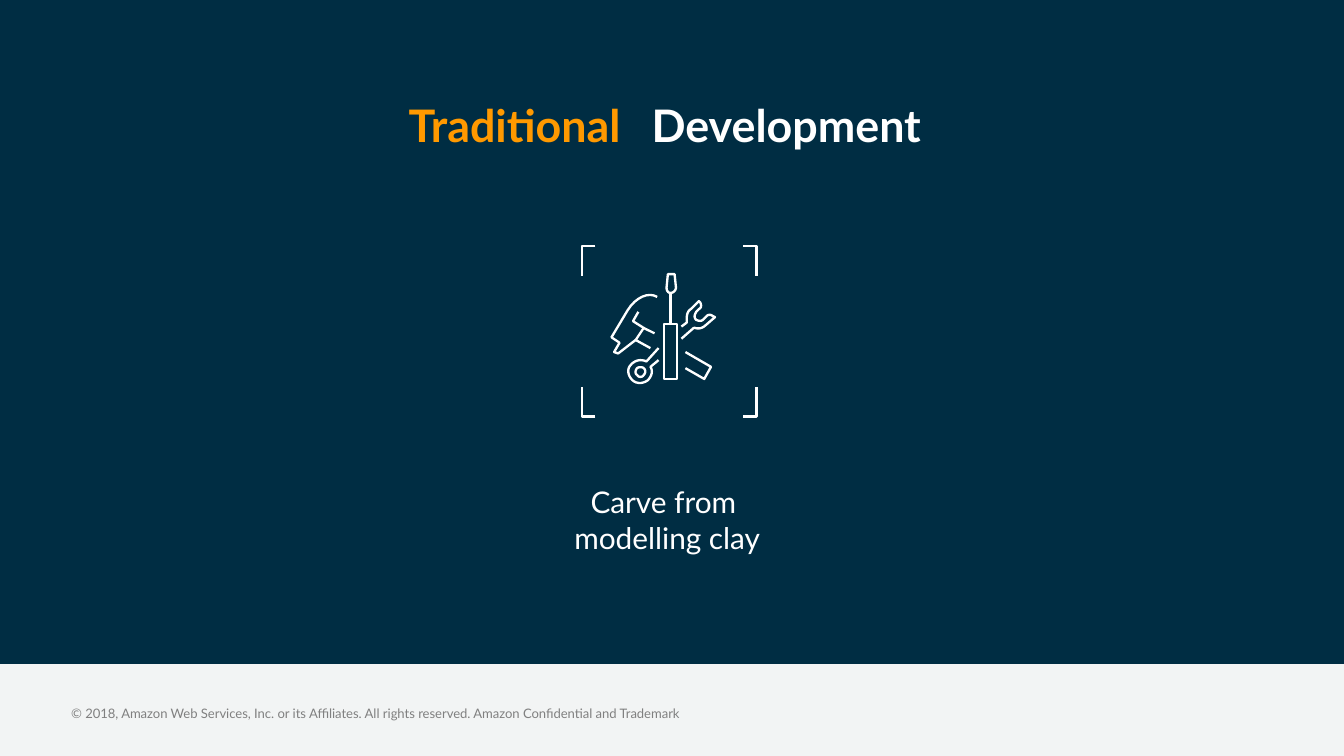
import copy

import pptx
import pptx.dml.color
import pptx.enum.shapes
import pptx.enum.text
import pptx.oxml.ns
import pptx.oxml.xmlchemy
import pptx.util

Pt = pptx.util.Pt
ALIGN = pptx.enum.text.PP_ALIGN
COLORS = {
    "background": "F2F4F4",
    "panel": "002D43",
    "accent": "FF9900",
    "light": "FFFFFF",
    "footer": "808080",
}
GRID = 0.72
ICON_LEFT, ICON_TOP = 311.76, 131.76
FRAME_WIDTH, FRAME_HEIGHT = 130, 127
ARM_WIDTH, ARM_HEIGHT = 10, 22
CURVE_STEPS = 8

TOOL_OUTLINES = {
    "screwdriver handle": [(69, 21), (64, 21), (63, 31), (63, 33, 64, 35, 66, 35),
                           (68, 35, 70, 33, 70, 31), (69, 21)],
    "wrench shaft": [(77, 79), (96, 90), (91, 99), (77, 91)],
    "hammer shaft": [(51, 76), (40, 70), (46, 61), (54, 65)],
    "hammer head": [(56, 38), (50, 34, 40, 38, 34, 48), (22, 68), (28, 72),
                    (24, 79), (27, 80), (40, 70)],
    "hammer neck": [(46, 61), (38, 56), (42, 49)],
    "wrench jaw": [(74, 69), (82, 62), (83, 61, 83, 61, 84, 61),
                   (87, 62, 90, 61, 92, 59), (99, 53), (97, 52),
                   (96, 51, 94, 51, 93, 52), (90, 55), (89, 56, 87, 56, 85, 55),
                   (83, 53, 84, 51, 85, 49), (87, 47), (89, 46, 89, 44, 88, 42),
                   (87, 41), (81, 47), (78, 49, 78, 52, 78, 55), (78, 57), (74, 60)],
    "ring hole": [(46, 91), (45, 90, 42, 90, 41, 91), (40, 92, 39, 95, 41, 96),
                  (42, 98, 45, 98, 46, 96), (47, 95, 48, 93, 46, 91)],
    "ring": [(57, 76), (48, 86), (44, 84, 39, 85, 36, 89), (34, 91, 34, 95, 36, 98),
             (39, 103, 45, 103, 49, 100), (52, 97, 53, 93, 51, 90), (57, 85)],
}


def rgb(name):
    return pptx.dml.color.RGBColor.from_string(COLORS[name])


def place(shape, left, top, width, height):
    shape.left, shape.top = Pt(left), Pt(top)
    shape.width, shape.height = Pt(width), Pt(height)


def write_text(shape, text, *, size, color, bold=False, align=ALIGN.LEFT, margins=(7.2, 3.6)):
    frame = shape.text_frame
    frame.word_wrap = True
    frame.auto_size = pptx.enum.text.MSO_AUTO_SIZE.NONE
    frame.vertical_anchor = pptx.enum.text.MSO_ANCHOR.TOP
    frame.margin_left = frame.margin_right = Pt(margins[0])
    frame.margin_top = frame.margin_bottom = Pt(margins[1])
    paragraph = frame.paragraphs[0]
    paragraph.text = text
    paragraph.alignment = align
    paragraph.space_before = Pt(0)
    for run in paragraph.runs:
        run.font.name = "Lato"
        run.font.size = Pt(size)
        run.font.bold = bold
        run.font.color.rgb = rgb(color)
    for line_break in paragraph._p.findall(pptx.oxml.ns.qn("a:br")):
        line_break.append(copy.deepcopy(paragraph.runs[0].font._element))
    return paragraph


def remove_bullet(paragraph):
    properties = paragraph._p.get_or_add_pPr()
    properties.set("marL", "0")
    properties.set("indent", "0")
    properties.append(pptx.oxml.xmlchemy.OxmlElement("a:buNone"))


def add_text_box(slide, box, text, **text_format):
    shape = slide.shapes.add_textbox(*(Pt(length) for length in box))
    write_text(shape, text, **text_format)


def add_panel(slide):
    panel = slide.shapes.add_shape(
        pptx.enum.shapes.MSO_SHAPE.RECTANGLE, 0, 0, Pt(720), Pt(355.68))
    panel.shadow.inherit = False
    panel.fill.solid()
    panel.fill.fore_color.rgb = rgb("panel")
    panel.line.fill.background()
    panel._element.getparent().insert(2, panel._element)


def style_line(shape):
    shape.line.color.rgb = rgb("light")
    shape.line.width = Pt(1.25)


def style_outline(shape):
    shape.shadow.inherit = False
    shape.fill.background()
    style_line(shape)


def icon_point(x, y):
    return Pt(ICON_LEFT + x * GRID), Pt(ICON_TOP + y * GRID)


def flatten(segments):
    points = [segments[0]]
    for segment in segments[1:]:
        if len(segment) == 2:
            points.append(segment)
            continue
        controls = [points[-1], segment[:2], segment[2:4], segment[4:]]
        for step in range(1, CURVE_STEPS + 1):
            t = step / CURVE_STEPS
            weights = ((1 - t) ** 3, 3 * t * (1 - t) ** 2, 3 * t * t * (1 - t), t ** 3)
            points.append(tuple(
                sum(weight * control[axis] for weight, control in zip(weights, controls))
                for axis in (0, 1)))
    return points


def add_outline(group, segments):
    closed = segments[0] == segments[-1][-2:]
    points = [icon_point(*point) for point in flatten(segments)]
    builder = group.shapes.build_freeform(*points[0])
    builder.add_line_segments(points[1:], close=closed)
    style_outline(builder.convert_to_shape())


def add_frame_corners(group):
    for x, inward_x in ((0, 1), (FRAME_WIDTH, -1)):
        for y, inward_y in ((0, 1), (FRAME_HEIGHT, -1)):
            add_outline(group, [(x + inward_x * ARM_WIDTH, y), (x, y),
                                (x, y + inward_y * ARM_HEIGHT)])


def add_screwdriver_shaft(group):
    block = group.shapes.add_shape(
        pptx.enum.shapes.MSO_SHAPE.RECTANGLE, *icon_point(61, 58),
        Pt(10 * GRID), Pt(41 * GRID))
    style_outline(block)
    shaft = group.shapes.add_connector(
        pptx.enum.shapes.MSO_CONNECTOR.STRAIGHT, *icon_point(66, 58), *icon_point(66, 35))
    shaft.begin_connect(block, 0)
    style_line(shaft)
    shaft._element.spPr.append(pptx.oxml.xmlchemy.OxmlElement("a:effectLst"))


def add_tools_icon(slide):
    group = slide.shapes.add_group_shape()
    add_frame_corners(group)
    add_screwdriver_shaft(group)
    for segments in TOOL_OUTLINES.values():
        add_outline(group, segments)


def main():
    presentation = pptx.Presentation()
    presentation.slide_width, presentation.slide_height = Pt(720), Pt(405)
    slide = presentation.slides.add_slide(presentation.slide_layouts[1])
    slide.background.fill.solid()
    slide.background.fill.fore_color.rgb = rgb("background")

    add_panel(slide)
    title = slide.shapes.title
    place(title, 211.68, 48.96, 147.6, 36)
    write_text(title, "Traditional", size=24, color="accent", bold=True)
    add_text_box(slide, (342, 48.96, 167.76, 36), "Development",
                 size=24, color="light", bold=True)

    caption = slide.placeholders[1]
    place(caption, 276.48, 255.6, 162, 46.08)
    remove_bullet(write_text(caption, "Carve from \vmodelling clay",
                             size=16, color="light", align=ALIGN.CENTER))

    add_tools_icon(slide)
    add_text_box(slide, (38.16, 378, 349.92, 8.64),
                 "© 2018, Amazon Web Services, Inc. or its Affiliates. "
                 "All rights reserved. Amazon Confidential and Trademark",
                 size=7, color="footer", margins=(0, 0))
    presentation.save("out.pptx")


if __name__ == "__main__":
    main()
